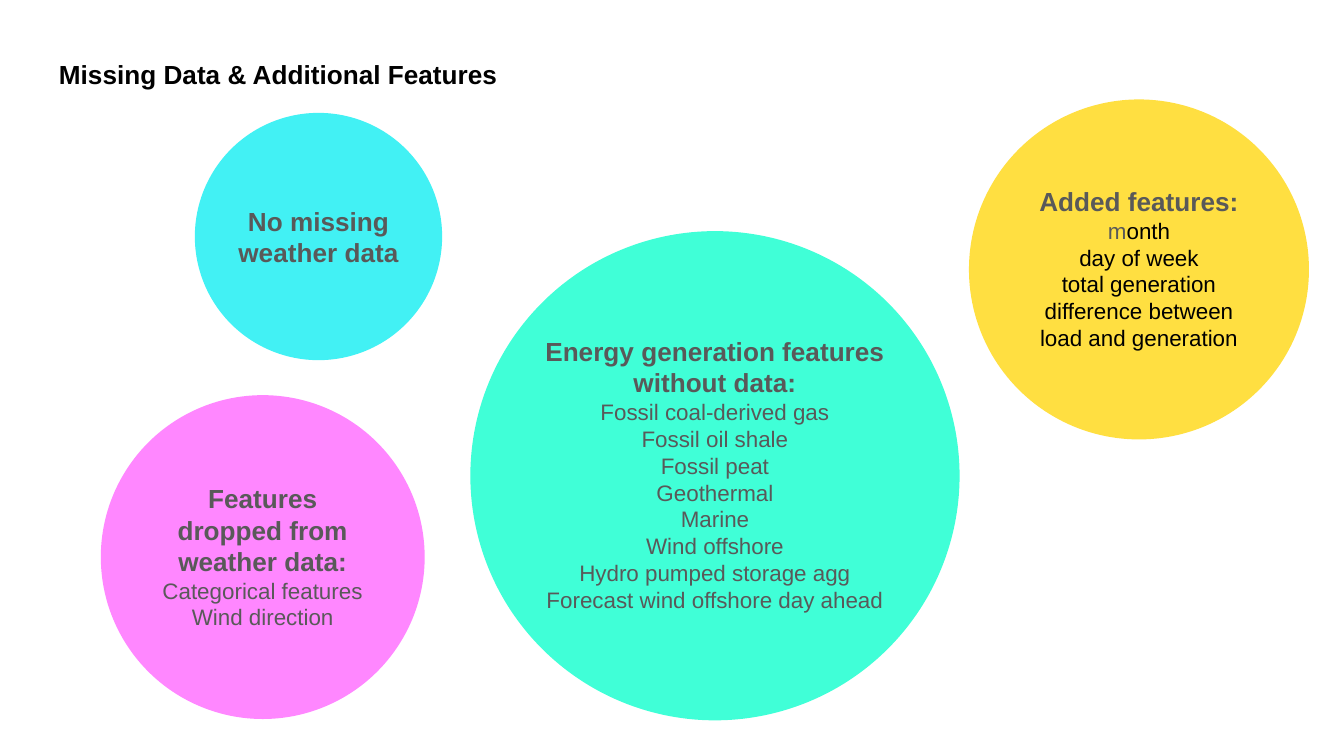
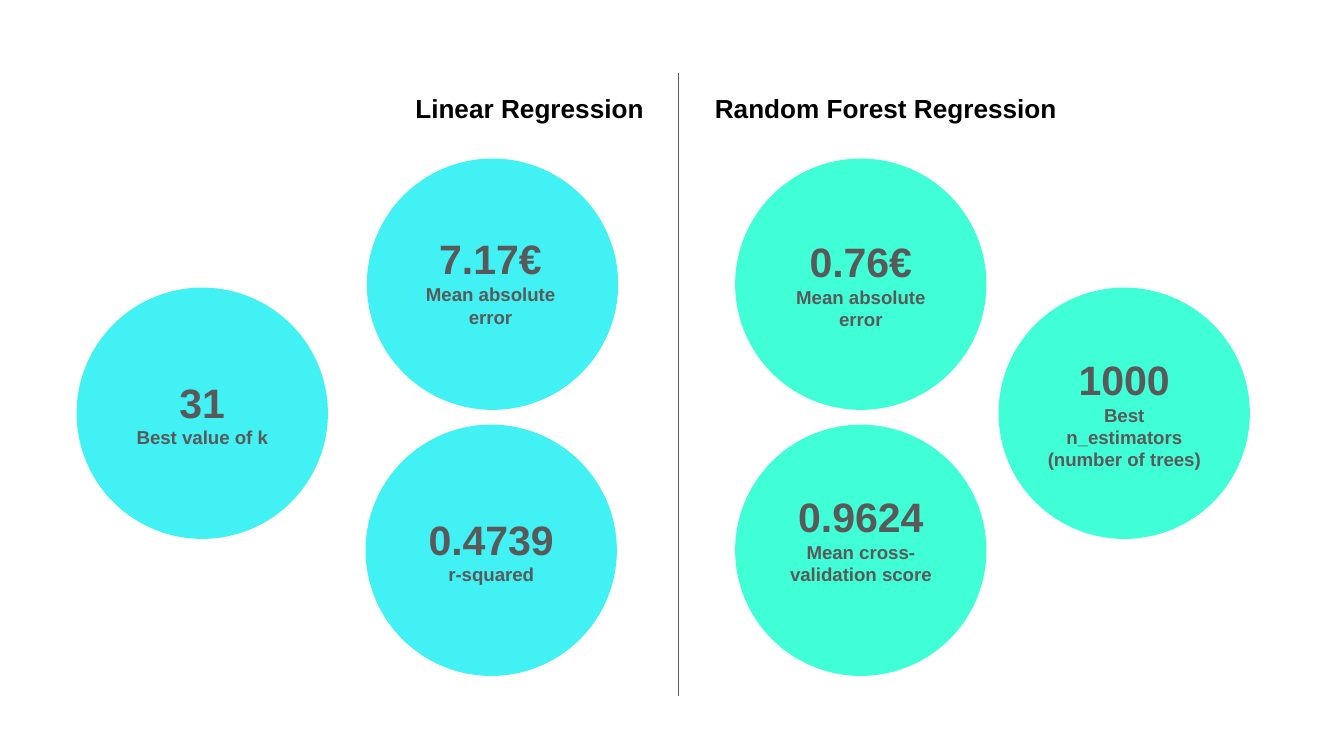
from pptx import Presentation, util as u
from pptx.dml.color import RGBColor
from pptx.enum import shapes, text as t

COLORS = {"black": "000000", "gray": "595959", "white": "FFFFFF", "yellow": "FFDF41",
          "green": "40FFD7", "cyan": "42F1F4", "pink": "FF87FF"}
FONT = "Arial"

# Grid: 100 square columns across the slide, 56.25 rows down
COLUMNS, ROWS = 100, 56.25
UNIT = u.Inches(10) // COLUMNS
HEADING, ITEM, FIGURE, CAPTION = 14, 12, 22, 10


def write(container, text, left, top, width, height, size=HEADING, bold=True,
          color="gray", align="CENTER", spacing=None, grow=True):
    """Add a text box; each entry of text is a paragraph, given as a list of
    (wording, format overrides) runs or as a plain string."""
    box = container.add_textbox(*(round(n * UNIT) for n in (left, top, width, height)))
    frame = box.text_frame
    frame.word_wrap = True
    frame.auto_size = t.MSO_AUTO_SIZE.SHAPE_TO_FIT_TEXT if grow else t.MSO_AUTO_SIZE.NONE
    frame.margin_left = frame.margin_right = UNIT
    frame.margin_top = frame.margin_bottom = UNIT
    for index, runs in enumerate(text):
        paragraph = frame.add_paragraph() if index else frame.paragraphs[0]
        paragraph.alignment = getattr(t.PP_ALIGN, align)
        if spacing:
            paragraph.line_spacing = spacing
        for wording, changes in [(runs, {})] if isinstance(runs, str) else runs:
            style = {"size": size, "bold": bold, "color": color, **changes}
            run = paragraph.add_run()
            run.text = wording
            run.font.name = FONT
            run.font.size = u.Pt(style["size"])
            run.font.bold = style["bold"]
            run.font.color.rgb = RGBColor.from_string(COLORS[style["color"]])


def add_bubble(container, text, fill, left, top, diameter, width, height, shift=(0, 0)):
    """Draw a circle with a text box centred on it, moved by shift."""
    circle = container.add_shape(shapes.MSO_SHAPE.OVAL, *(
        round(n * UNIT) for n in (left, top, diameter, diameter)))
    circle.shadow.inherit = False
    circle.fill.solid()
    circle.fill.fore_color.rgb = RGBColor.from_string(COLORS[fill])
    circle.line.fill.background()
    write(container, text, left + (diameter - width) / 2 + shift[0],
          top + (diameter - height) / 2 + shift[1], width, height)


presentation = Presentation()
presentation.slide_width = COLUMNS * UNIT
presentation.slide_height = round(ROWS * UNIT)
blank = presentation.slide_layouts[6]
title = {"width": 45.5, "color": "black", "spacing": 1.15, "grow": False}
item = {"size": ITEM, "bold": False}
black_item = {**item, "color": "black"}

# Slide 1: missing data and additional features
slide = presentation.slides.add_slide(blank)
write(slide.shapes, ["Missing Data & Additional Features"],
      left=3.4, top=3, height=4.4, align="LEFT", **title)

added = [[("Added features:", {}), (" m", item), ("onth", black_item)]]
added += [[(name, black_item)] for name in (
    "day of week", "total generation", "difference between load and generation")]
empty = ["Energy generation features", "without data:"]
empty += [[(name, item)] for name in (
    "Fossil coal-derived gas", "Fossil oil shale", "Fossil peat", "Geothermal", "Marine",
    "Wind offshore", "Hydro pumped storage agg", "Forecast wind offshore day ahead")]
dropped = ["Features dropped from weather data:"]
dropped += [[(name, item)] for name in ("Categorical features", "Wind direction")]

# Text, fill, circle left, top and diameter, text width and height
for bubble in (
    (added, "yellow", 72.1, 7.4, 25.3, 18.4, 14.5),
    (empty, "green", 35, 17.2, 36.4, 29.1, 22.9),
    (["No missing weather data"], "cyan", 14.5, 8.4, 18.4, 18.4, 6.7),
    (dropped, "pink", 7.5, 29.4, 24.1, 17.7, 13.1),
):
    add_bubble(slide.shapes, *bubble)

# Slide 2: the two regressions side by side
slide = presentation.slides.add_slide(blank)
for name, left, align in (("Linear Regression", 3.4, "RIGHT"),
                          ("Random Forest Regression", 52.2, "LEFT")):
    write(slide.shapes, [name], left=left, top=5.5, height=4.7, align=align, **title)

# Result circles: figure, caption, fill, left, top, text height, shift
upper, middle, lower = 11.8, 21.4, 31.6
for figure, caption, fill, left, top, height, shift in (
    ("0.4739", "r-squared", "cyan", 27.2, lower, 7.4, (0, 0)),
    ("7.17€", "Mean absolute error", "cyan", 27.3, upper, 9.1, (-0.15, -0.2)),
    ("0.9624", "Mean cross-validation score", "green", 54.7, lower, 10.8, (0, 0)),
    ("0.76€", "Mean absolute error", "green", 54.7, upper, 9.1, (0, 0)),
    ("31", "Best value of k", "cyan", 5.7, middle, 7.4, (0, 0)),
    ("1000", "Best n_estimators (number of trees)", "green", 74.3, middle, 10.8, (0, 0)),
):
    group = slide.shapes.add_group_shape()
    result = [[(figure, {"size": FIGURE})], [(caption, {"size": CAPTION})]]
    add_bubble(group.shapes, result, fill, left, top, 18.7, 13.6, height, shift)

# Divider
divider = slide.shapes.add_connector(shapes.MSO_CONNECTOR.STRAIGHT, *(
    round(n * UNIT) for n in (50.5, 5.4, 50.5, 51.8)))
divider.line.color.rgb = RGBColor.from_string(COLORS["gray"])
divider.line.width = u.Pt(0.75)
properties = divider._element.spPr
properties.append(properties.makeelement(
    "{http://schemas.openxmlformats.org/drawingml/2006/main}effectLst", {}))

presentation.save("out.pptx")
